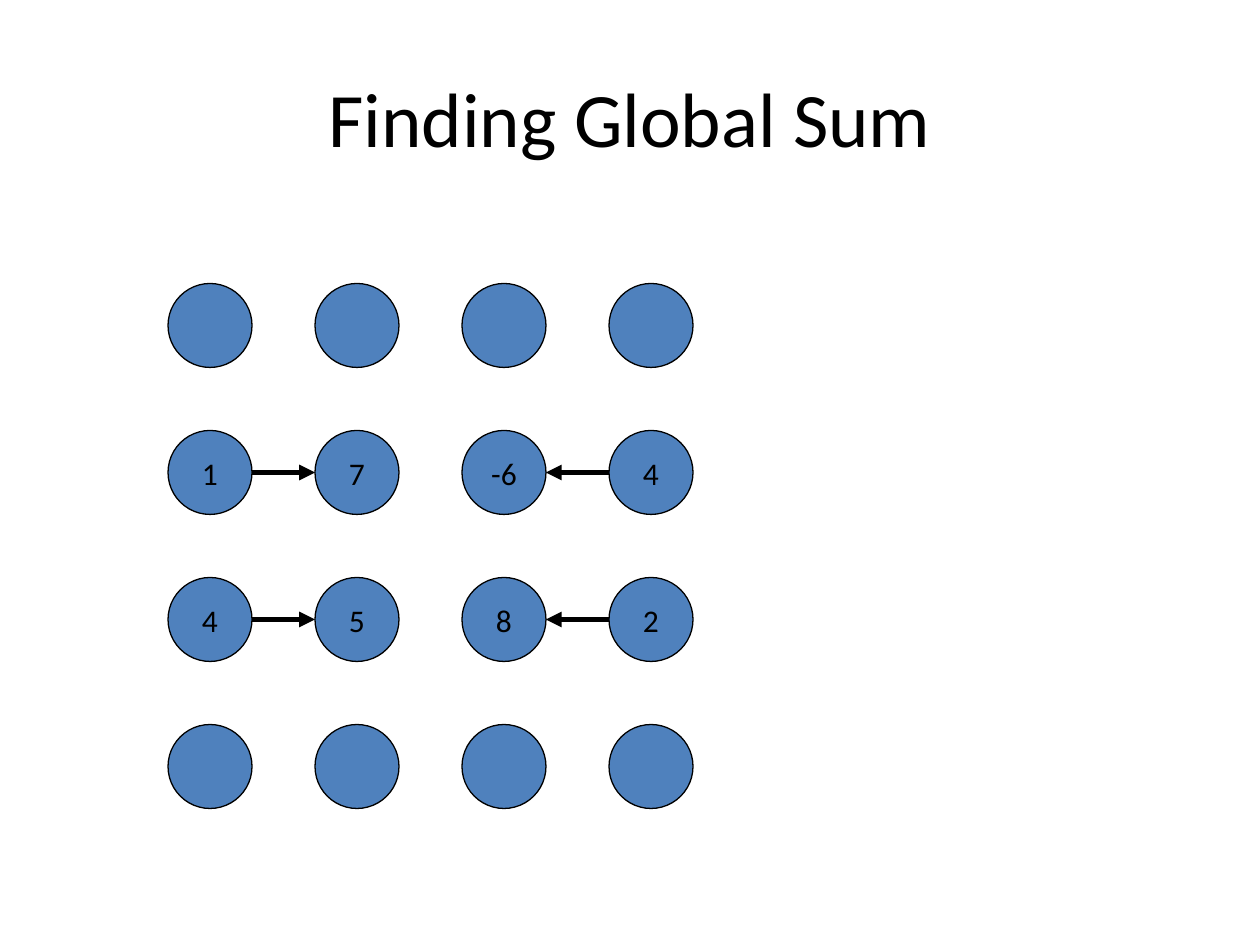
from lxml import etree
from pptx import Presentation
from pptx.dml.color import RGBColor
from pptx.enum import shapes, text
from pptx.oxml.ns import qn
from pptx.util import Pt

HUES = {"ink": "000000", "node": "4F81BD", "back": "FFFFFF"}
LEFT, TOP, STEP, SIZE = 96, 162, 84, 48
GRID = [
    ["", "", "", ""],
    ["1", "7", "-6", "4"],
    ["4", "5", "8", "2"],
    ["", "", "", ""],
]
SENDS = [(0, 1), (3, 2)]


def hue(name):
    return RGBColor.from_string(HUES[name])


def write(frame, words, size=18, font="Calibri", color="ink", wrap=False):
    frame.word_wrap = wrap
    frame.vertical_anchor = text.MSO_ANCHOR.MIDDLE
    para = frame.paragraphs[0]
    para.alignment = text.PP_ALIGN.CENTER
    run = para.add_run()
    run.text = words
    run.font.size = Pt(size)
    run.font.name = font
    run.font.color.rgb = hue(color)


class Board:
    def __init__(self, slide, edge=0.75, bar=3):
        self.slide = slide
        self.edge = edge
        self.bar = bar
        fill = slide.background.fill
        fill.solid()
        fill.fore_color.rgb = hue("back")

    def title(self, words, x, y, w, h):
        box = self.slide.shapes.add_textbox(Pt(x), Pt(y), Pt(w), Pt(h))
        write(box.text_frame, words, size=44, wrap=True)

    def node(self, words, x, y):
        disc = self.slide.shapes.add_shape(
            shapes.MSO_SHAPE.OVAL, Pt(x), Pt(y), Pt(SIZE), Pt(SIZE))
        disc.shadow.inherit = False
        disc.fill.solid()
        disc.fill.fore_color.rgb = hue("node")
        disc.line.color.rgb = hue("ink")
        disc.line.width = Pt(self.edge)
        if words:
            write(disc.text_frame, words)

    def arrow(self, start, end, y):
        link = self.slide.shapes.add_connector(
            shapes.MSO_CONNECTOR.STRAIGHT, Pt(start), Pt(y), Pt(end), Pt(y))
        link.line.color.rgb = hue("ink")
        link.line.width = Pt(self.bar)
        props = link._element.spPr
        etree.SubElement(props.find(qn("a:ln")), qn("a:tailEnd"), type="triangle")
        etree.SubElement(props, qn("a:effectLst"))


def main():
    deck = Presentation()
    deck.slide_width, deck.slide_height = Pt(720), Pt(540)
    board = Board(deck.slides.add_slide(deck.slide_layouts[6]))
    board.title("Finding Global Sum", 36, 21.6, 648, 90)

    for row, line in enumerate(GRID):
        for col, words in enumerate(line):
            board.node(words, LEFT + col * STEP, TOP + row * STEP)

    for row, line in enumerate(GRID):
        if not any(line):
            continue
        mid = TOP + row * STEP + SIZE / 2
        for src, dest in SENDS:
            start, end = LEFT + src * STEP, LEFT + dest * STEP
            if src < dest:
                start += SIZE
            else:
                end += SIZE
            board.arrow(start, end, mid)

    deck.save("out.pptx")


if __name__ == "__main__":
    main()
